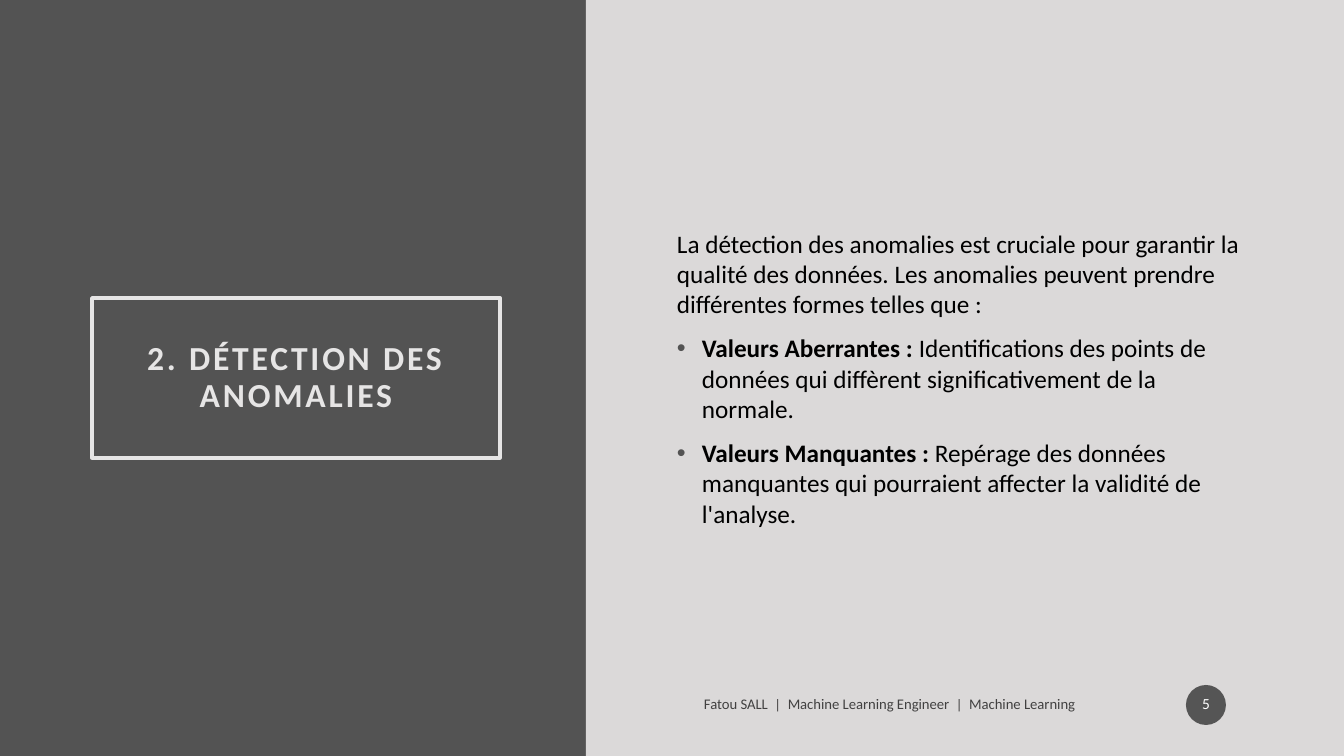
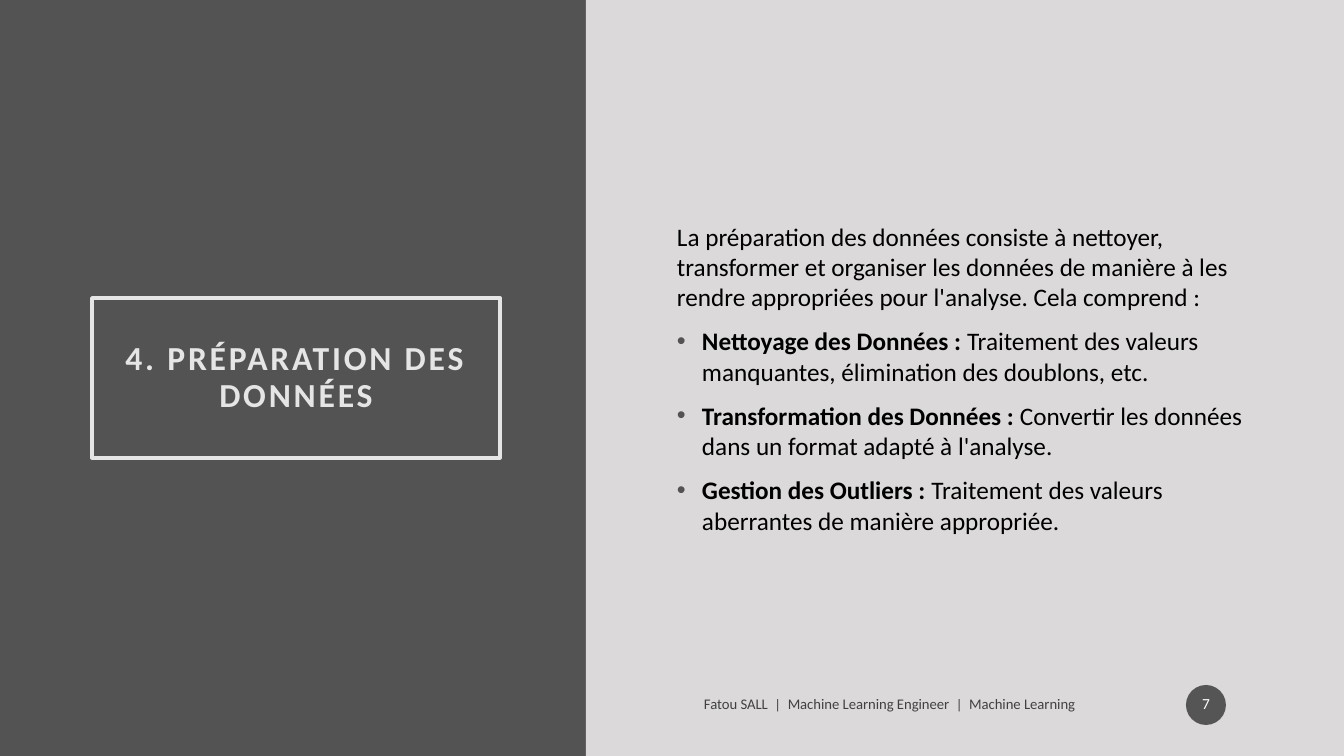
from lxml import etree
from pptx import Presentation
from pptx.dml.color import RGBColor
from pptx.enum.shapes import MSO_SHAPE
from pptx.enum.text import MSO_ANCHOR, PP_ALIGN
from pptx.oxml.ns import qn
from pptx.util import Emu, Pt

RECTANGLE = MSO_SHAPE.RECTANGLE
OVAL = MSO_SHAPE.OVAL
MIDDLE = MSO_ANCHOR.MIDDLE
CENTER = PP_ALIGN.CENTER
LEFT = PP_ALIGN.LEFT

CHARCOAL = RGBColor(0x53, 0x53, 0x53)
PALE = RGBColor(0xE6, 0xE5, 0xE5)
PANEL = RGBColor(0xDB, 0xD9, 0xD9)
INK = RGBColor(0x1D, 0x1D, 0x1D)
BLACK = RGBColor(0, 0, 0)
WHITE = RGBColor(0xFF, 0xFF, 0xFF)

FONT = "Calibri"
FOOTER = "Fatou SALL  |  Machine Learning Engineer  |  Machine Learning"
PX = 12192000 / 1344
WIDTH, HEIGHT = 1344, 756
PANEL_LEFT = 586
INDENT = 25
OPACITY = 70

SLIDES = [
    (
        "5",
        "2. DÉTECTION DES ANOMALIES",
        "La détection des anomalies est cruciale pour garantir la qualité des données. "
        "Les anomalies peuvent prendre différentes formes telles que :",
        [
            ("Valeurs Aberrantes :", " Identifications des points de données qui "
             "diffèrent significativement de la normale."),
            ("Valeurs Manquantes :", " Repérage des données manquantes qui pourraient "
             "affecter la validité de l'analyse."),
        ],
    ),
    (
        "7",
        "4. PRÉPARATION DES DONNÉES",
        "La préparation des données consiste à nettoyer, transformer et organiser les "
        "données de manière à les rendre appropriées pour l'analyse. Cela comprend :",
        [
            ("Nettoyage des Données :", " Traitement des valeurs manquantes, "
             "élimination des doublons, etc."),
            ("Transformation des Données :", " Convertir les données dans un format "
             "adapté à l'analyse."),
            ("Gestion des Outliers :", " Traitement des valeurs aberrantes de manière "
             "appropriée."),
        ],
    ),
]


def add_box(page, bounds, kind=None, fill=None, margins=(10, 5)):
    area = [Emu(round(length * PX)) for length in bounds]
    if kind is None:
        box = page.shapes.add_textbox(*area)
    else:
        box = page.shapes.add_shape(kind, *area)
        box.shadow.inherit = False
        box.line.fill.background()
        if fill is None:
            box.fill.background()
        else:
            box.fill.solid()
            box.fill.fore_color.rgb = fill
    frame = box.text_frame
    frame.word_wrap = True
    frame.vertical_anchor = MIDDLE
    frame.margin_left = frame.margin_right = Emu(round(margins[0] * PX))
    frame.margin_top = frame.margin_bottom = Emu(round(margins[1] * PX))
    return box


def write(para, text, size, color, align=LEFT, bold=False):
    para.alignment = align
    span = para.add_run()
    span.text = text
    span.font.name = FONT
    span.font.size = Pt(size)
    span.font.bold = bold
    span.font.color.rgb = color
    return span


deck = Presentation()
deck.slide_width = Emu(round(WIDTH * PX))
deck.slide_height = Emu(round(HEIGHT * PX))

for number, title, intro, points in SLIDES:
    page = deck.slides.add_slide(deck.slide_layouts[6])
    page.background.fill.solid()
    page.background.fill.fore_color.rgb = CHARCOAL

    title_box = add_box(page, (92, 298, 408, 160), RECTANGLE, margins=(20, 20))
    title_box.line.color.rgb = PALE
    title_box.line.width = Pt(2.5)
    para = title_box.text_frame.paragraphs[0]
    para.line_spacing = 0.9
    span = write(para, title, 24, PALE, CENTER, True)
    span.font._element.set("spc", "200")

    add_box(page, (PANEL_LEFT, 0, WIDTH - PANEL_LEFT, HEIGHT), RECTANGLE, PANEL)

    body = add_box(page, (667, 89, 597, 578)).text_frame
    write(body.paragraphs[0], intro, 18, BLACK)
    for label, detail in points:
        para = body.add_paragraph()
        para.space_before = Pt(10)
        props = para._p.get_or_add_pPr()
        props.set("marL", str(round(INDENT * PX)))
        props.set("indent", str(round(-INDENT * PX)))
        bullet_color = etree.SubElement(props, qn("a:buClr"))
        etree.SubElement(bullet_color, qn("a:srgbClr"), val=str(CHARCOAL))
        etree.SubElement(props, qn("a:buFont"), typeface="Arial")
        etree.SubElement(props, qn("a:buChar"), char="•")
        write(para, label, 18, BLACK, bold=True)
        write(para, detail, 18, BLACK)

    footer = add_box(page, (694, 687, 472, 34))
    para = footer.text_frame.paragraphs[0]
    para.space_after = Pt(6)
    footer_span = write(para, FOOTER, 10.5, BLACK)

    badge = add_box(page, (1186, 685, 40, 40), OVAL, INK, (2, 5))
    para = badge.text_frame.paragraphs[0]
    para.line_spacing = 0.9
    para.space_after = Pt(6)
    write(para, number, 11, WHITE, CENTER)

    for owner in (footer_span.font._element, badge._element.spPr):
        color = owner.find(qn("a:solidFill")).find(qn("a:srgbClr"))
        etree.SubElement(color, qn("a:alpha"), val=str(OPACITY * 1000))

deck.save("out.pptx")
